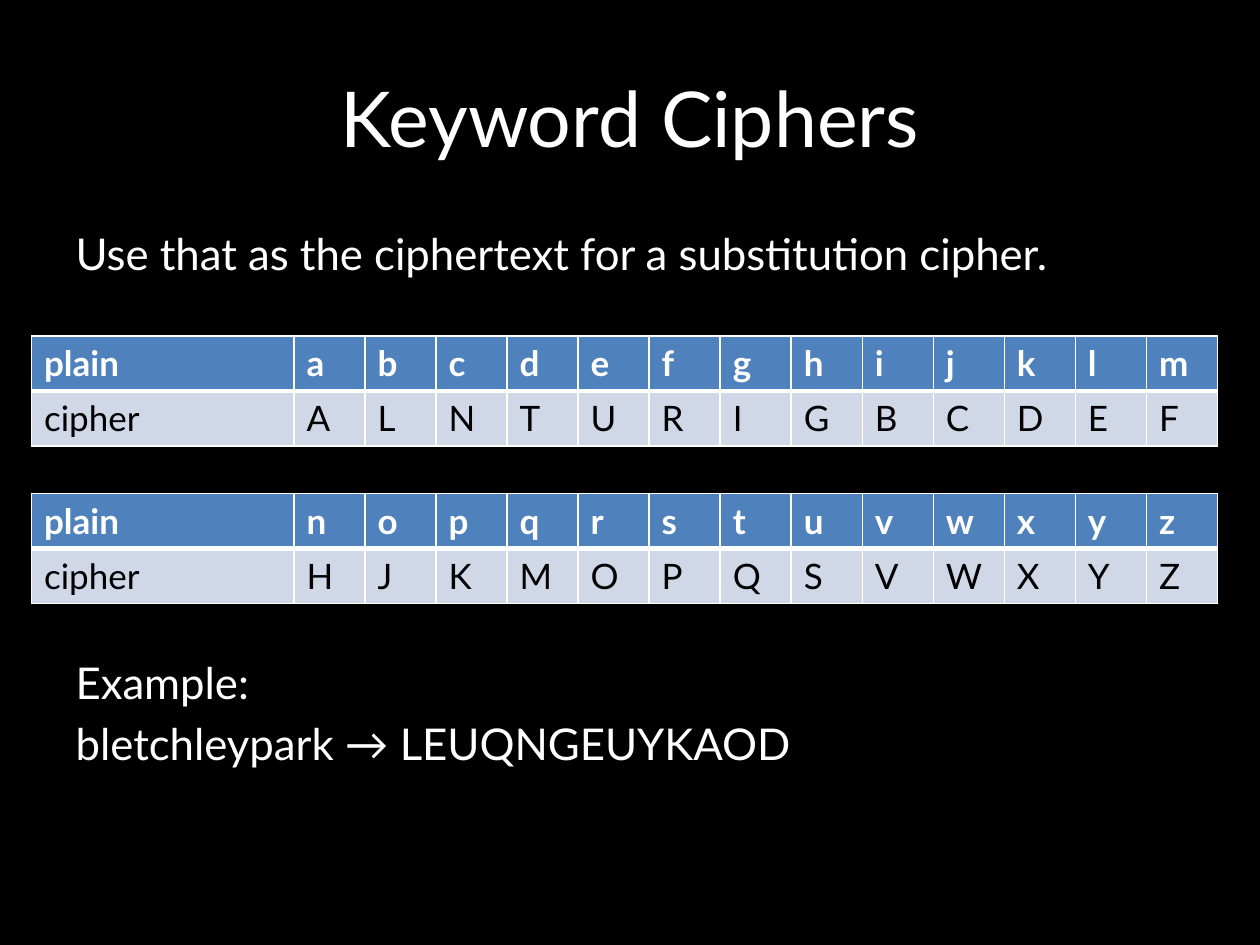
from lxml.etree import SubElement
from pptx import Presentation
from pptx.dml.color import RGBColor
from pptx.enum.text import MSO_ANCHOR as ANCHOR, MSO_AUTO_SIZE as AUTO, PP_ALIGN as ALIGN
from pptx.oxml.ns import qn
from pptx.util import Pt

WHITE, BLACK, BLUE, PALE = "FFFFFF", "000000", "4F81BD", "D0D8E8"


def color(hex_code):
    return RGBColor.from_string(hex_code)


def add_run(p, text, size, hex_code, bold=False):
    r = p.add_run()
    r.text = text
    r.font.name = "Lato"
    r.font.size = Pt(size)
    r.font.bold = bold
    r.font.color.rgb = color(hex_code)


prs = Presentation()
prs.slide_width, prs.slide_height = Pt(720), Pt(540)
s = prs.slides.add_slide(prs.slide_layouts[1])
s.background.fill.solid()
s.background.fill.fore_color.rgb = color(BLACK)

title = s.shapes.title
title.left, title.top, title.width, title.height = Pt(36), Pt(21.6), Pt(648), Pt(90)
title.text_frame.vertical_anchor = ANCHOR.MIDDLE
p = title.text_frame.paragraphs[0]
p.alignment = ALIGN.CENTER
add_run(p, "Keyword Ciphers", 44, WHITE)

body = s.placeholders[1]
body.left, body.top, body.width, body.height = Pt(36), Pt(126), Pt(648), Pt(356.4)
tf = body.text_frame
tf.auto_size = AUTO.NONE
lines = [
    ("Use that as the ciphertext for a substitution cipher.", 0),
    ("Example:", 215),
    ("bletchleypark → LEUQNGEUYKAOD", 5),
]
for i, (text, gap) in enumerate(lines):
    p = tf.add_paragraph() if i else tf.paragraphs[0]
    p.space_before = Pt(gap)
    pPr = p._p.get_or_add_pPr()
    pPr.set("marL", "0")
    pPr.set("indent", "0")
    SubElement(pPr, qn("a:buNone"))
    add_run(p, text, 25, WHITE)

ciphers = [
    (192, "abcdefghijklm", "ALNTURIGBCDEF"),
    (282, "nopqrstuvwxyz", "HJKMOPQSVWXYZ"),
]
for top, plain, cipher in ciphers:
    rows = [["plain", *plain], ["cipher", *cipher]]
    frame = s.shapes.add_table(2, 14, Pt(18), Pt(top), Pt(677.8), Pt(62.8))
    table = frame.table
    for i, column in enumerate(table.columns):
        column.width = Pt(40.6 if i else 150)
    for i, row in enumerate(rows):
        table.rows[i].height = Pt(31.4)
        header = i == 0
        widths = {"L": 1, "R": 1, "T": 1 if header else 3, "B": 3 if header else 1}
        for j, text in enumerate(row):
            cell = table.cell(i, j)
            tcPr = cell._tc.get_or_add_tcPr()
            for side, width in widths.items():
                ln = SubElement(tcPr, qn(f"a:ln{side}"), w=str(Pt(width)))
                SubElement(SubElement(ln, qn("a:solidFill")), qn("a:srgbClr"), val=WHITE)
            cell.fill.solid()
            cell.fill.fore_color.rgb = color(BLUE if header else PALE)
            add_run(cell.text_frame.paragraphs[0], text, 20, WHITE if header else BLACK, header)

prs.save("out.pptx")
